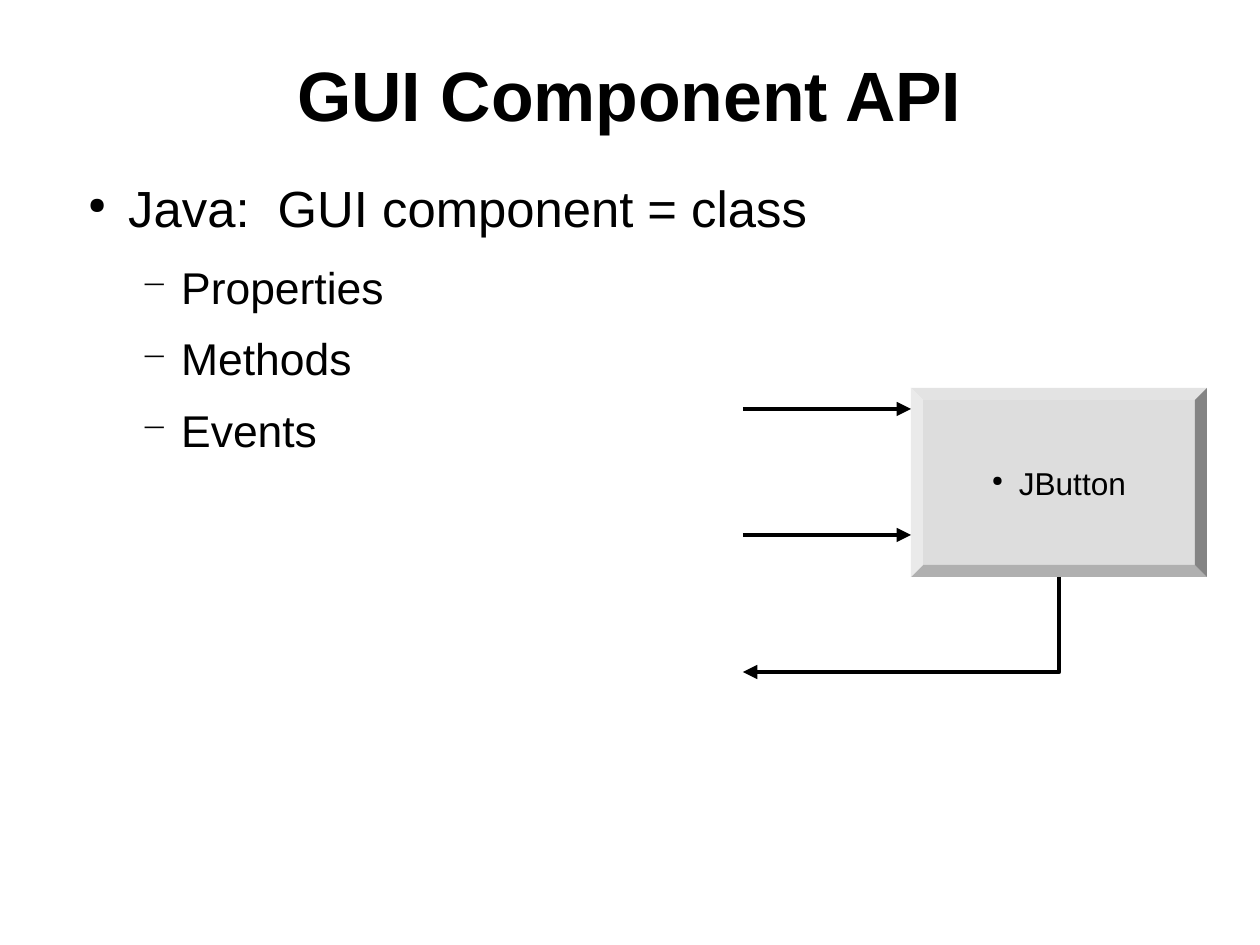
from lxml import etree
from pptx import Presentation
from pptx import util as u
from pptx.dml.color import RGBColor
from pptx.enum import shapes, text
from pptx.oxml.ns import qn

# Content
TITLE = "GUI Component API"
POINTS = [(0, "Java:  GUI component = class"),
          (1, "Properties"), (1, "Methods"), (1, "Events")]
LABEL = "JButton"

# Places in pixels: left, top, width, height
PX = 8000
SIZE = (1260, 945)
HEAD = (63, 38, 1134, 111)
BODY = (63, 171, 1109, 731)
BUTTON = (911, 388, 296, 189)
START = 743            # left end of the arrows
INPUTS = (409, 535)    # heights of the arrows into the button
OUTPUT = 672           # height of the arrow out of it
BEVEL = 12

THEME = {
    "font": "Arial", "ink": RGBColor(0, 0, 0), "face": RGBColor(221, 221, 221),
    "title": 44, "label": 19.9, "line": 3,
    # size, space after, left margin, hang, bullet, bullet percent
    "levels": [(32, 14.2, 54, 40, "●", 45), (28, 11.3, 107, 40, "−", 75)],
}


def px(*vals):
    """Turn pixels into EMU."""
    return [round(v * PX) for v in vals]


def style(para, size, bold=False):
    """Format the runs of a paragraph."""
    for run in para.runs:
        font = run.font
        font.name, font.size, font.bold = THEME["font"], u.Pt(size), bold
        font.color.rgb = THEME["ink"]


def bullet(para, left, hang, char, part):
    """Give a paragraph a hanging bullet."""
    props = para._p.get_or_add_pPr()
    props.set("marL", str(left * PX))
    props.set("indent", str(-hang * PX))
    color = etree.SubElement(props, qn("a:buClr"))
    etree.SubElement(color, qn("a:srgbClr"), val=str(THEME["ink"]))
    etree.SubElement(props, qn("a:buSzPct"), val=str(part * 1000))
    etree.SubElement(props, qn("a:buChar"), char=char)


def box(slide, place):
    """Add a wrapping text box and return its frame."""
    frame = slide.shapes.add_textbox(*px(*place)).text_frame
    frame.word_wrap = True
    return frame


def arrow(shape):
    """Draw a shape's line with an arrowhead at its end."""
    shape.line.color.rgb = THEME["ink"]
    shape.line.width = u.Pt(THEME["line"])
    etree.SubElement(shape.line._get_or_add_ln(), qn("a:tailEnd"),
                     type="triangle")


def heading(slide):
    """Add the title."""
    frame = box(slide, HEAD)
    frame.vertical_anchor = text.MSO_ANCHOR.MIDDLE
    frame.text = TITLE
    para = frame.paragraphs[0]
    para.alignment = text.PP_ALIGN.CENTER
    style(para, THEME["title"], True)


def outline(slide):
    """Add the list of points."""
    frame = box(slide, BODY)
    frame.text = "\n".join(words for _, words in POINTS)
    for para, (level, _) in zip(frame.paragraphs, POINTS):
        size, after, *mark = THEME["levels"][level]
        para.level = level
        para.space_after = u.Pt(after)
        style(para, size)
        bullet(para, *mark)


def button(slide):
    """Add the bevelled button with its label."""
    shape = slide.shapes.add_shape(shapes.MSO_SHAPE.BEVEL, *px(*BUTTON))
    shape.adjustments[0] = BEVEL / BUTTON[3]
    shape.shadow.inherit = False
    shape.fill.solid()
    shape.fill.fore_color.rgb = THEME["face"]
    shape.line.fill.background()
    frame = shape.text_frame
    frame.word_wrap = False
    frame.vertical_anchor = text.MSO_ANCHOR.MIDDLE
    frame.text = LABEL
    para = frame.paragraphs[0]
    para.alignment = text.PP_ALIGN.CENTER
    style(para, THEME["label"])
    bullet(para, 27, 27, "●", 45)


def flows(slide):
    """Add the arrows into and out of the button."""
    left, top, wide, high = BUTTON
    for y in INPUTS:
        link = slide.shapes.add_connector(
            shapes.MSO_CONNECTOR.STRAIGHT, *px(START, y, left, y))
        arrow(link)
        etree.SubElement(link._element.spPr, qn("a:effectLst"))
    mid = left + wide // 2
    pen = slide.shapes.build_freeform(mid, top + high, scale=PX)
    pen.add_line_segments([(mid, OUTPUT), (START, OUTPUT)], close=False)
    shape = pen.convert_to_shape()
    shape.shadow.inherit = False
    shape.fill.background()
    arrow(shape)


deck = Presentation()
deck.slide_width, deck.slide_height = px(*SIZE)
page = deck.slides.add_slide(deck.slide_layouts[6])
for part in (heading, outline, button, flows):
    part(page)
deck.save("out.pptx")
